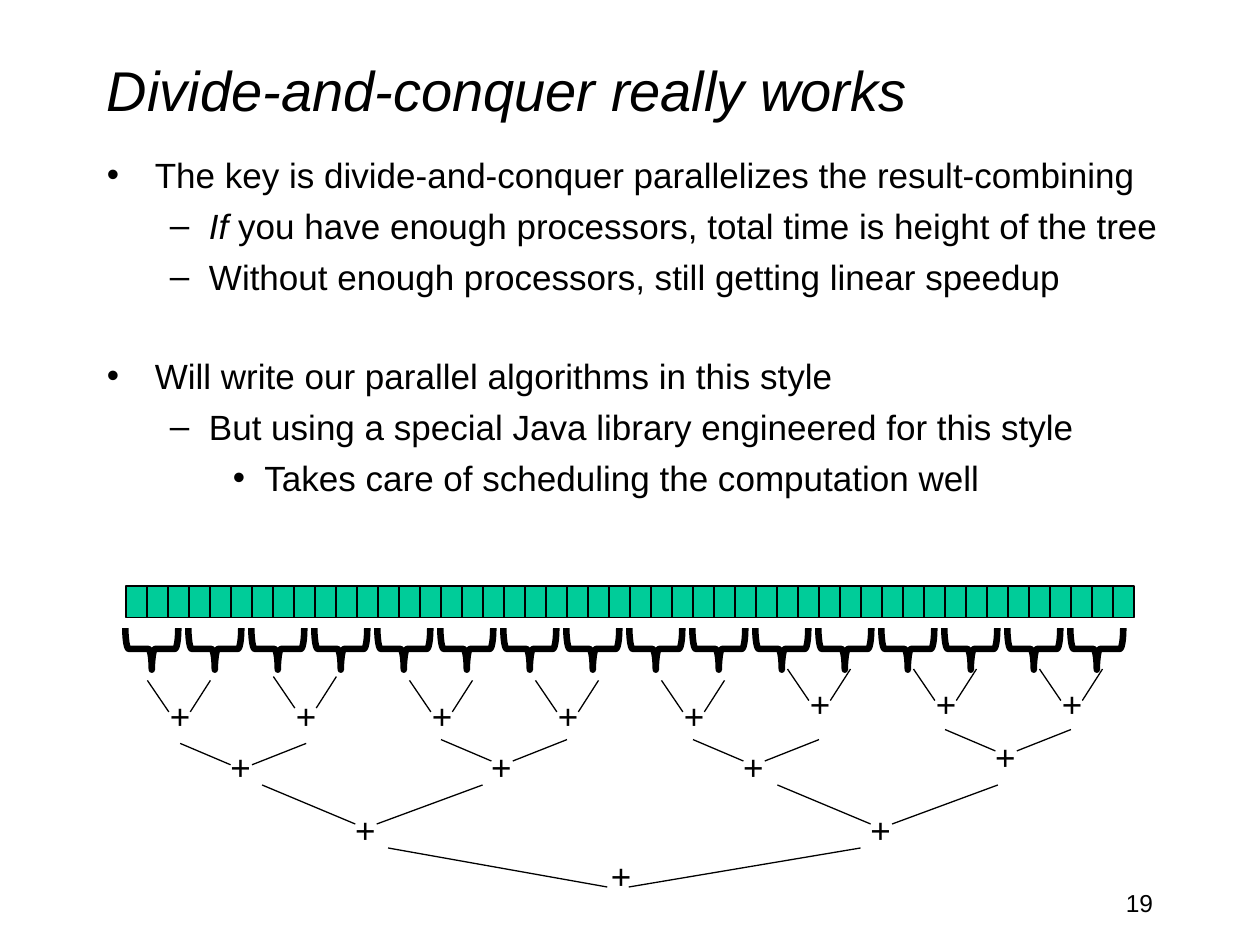
from dataclasses import dataclass

from lxml import etree
from pptx import Presentation
from pptx.dml.color import RGBColor
from pptx.enum import shapes, text
from pptx.oxml import ns
from pptx.util import Inches, Pt

COLORS = {"ink": "000000", "cell": "00CC99"}
FONT = "Arial"
CELLS, CELL_W = 48, 1 / 6
BRACES, BRACE_STEP = 16, 0.5


@dataclass
class Bullet:
    runs: list  # (text, italic)
    level: int = 0
    before: float = 5


@dataclass
class Level:
    span: float  # distance between the two branch tops
    tip: float   # left branch top to left branch end
    sign: float  # left branch top to the plus box
    drop: float  # height of a branch
    nodes: list  # (left, branch top, plus box top)


# Marker, text indent and hanging indent for each list level
BULLET_STYLES = [("•", 0.38, 0.38), ("–", 0.81, 0.31), ("•", 1.25, 0.25)]

BULLETS = [
    Bullet([("The key is divide-and-conquer parallelizes the result-combining", False)]),
    Bullet([("If", True),
            (" you have enough processors, total time is height of the tree", False)], 1),
    Bullet([("Without enough processors, still getting linear speedup", False)], 1),
    Bullet([("Will write our parallel algorithms in this style", False)], 0, 33),
    Bullet([("But using a special Java library engineered for this style", False)], 1),
    Bullet([("Takes care of scheduling the computation well", False)], 2),
]

LEVELS = [
    Level(0.5, 0.17, 0.08, 0.25,
          [(1.17, 5.4, 5.46), (2.17, 5.37, 5.46)]
          + [(3.25 + i, 5.4, 5.46) for i in range(3)]
          + [(6.25 + i, 5.31, 5.37) for i in range(3)]),
    Level(1, 0.4, 0.3, 0.17,
          [(1.43, 5.9, 5.87), (3.5, 5.87, 5.87), (5.5, 5.87, 5.87), (7.5, 5.79, 5.79)]),
    Level(1.75, 0.74, 0.64, 0.31, [(2.08, 6.23, 6.37), (6.17, 6.23, 6.37)]),
    Level(3.75, 1.74, 1.67, 0.31, [(3.08, 6.73, 6.73)]),
]
TIP_GAP = 0.17


def rgb(name: str) -> RGBColor:
    return RGBColor.from_string(COLORS[name])


def add_run(p, content: str, size: float, italic: bool = False) -> None:
    r = p.add_run()
    r.text = content
    r.font.color.rgb = rgb("ink")
    for name, value in {"name": FONT, "size": Pt(size), "italic": italic}.items():
        setattr(r.font, name, value)


def add_box(s, x: float, y: float, w: float, h: float, **frame):
    tf = s.shapes.add_textbox(Inches(x), Inches(y), Inches(w), Inches(h)).text_frame
    for name, value in {"word_wrap": True, **frame}.items():
        setattr(tf, name, value)
    return tf


def add_bullet(p, item: Bullet) -> None:
    marker, left, hang = BULLET_STYLES[item.level]
    p.level = item.level
    p.space_before = Pt(item.before)
    pPr = p._p.get_or_add_pPr()
    pPr.set("marL", str(Inches(left)))
    pPr.set("indent", str(-Inches(hang)))
    etree.SubElement(pPr, ns.qn("a:buFont")).set("typeface", FONT)
    etree.SubElement(pPr, ns.qn("a:buChar")).set("char", marker)
    for content, italic in item.runs:
        add_run(p, content, 20, italic)


def add_preset(s, kind, x: float, y: float, w: float, h: float, line: float):
    sp = s.shapes.add_shape(kind, Inches(x), Inches(y), Inches(w), Inches(h))
    sp.shadow.inherit = False
    sp.line.color.rgb = rgb("ink")
    sp.line.width = Pt(line)
    return sp


def add_branch(s, x1: float, y1: float, x2: float, y2: float) -> None:
    line = s.shapes.add_connector(shapes.MSO_CONNECTOR.STRAIGHT,
                                  Inches(x1), Inches(y1), Inches(x2), Inches(y2))
    line.line.color.rgb = rgb("ink")
    line.line.width = Pt(0.75)
    etree.SubElement(line._element.spPr, ns.qn("a:effectLst"))


def add_node(s, level: Level, left: float, top: float, sign_top: float) -> None:
    tip, bottom = left + level.tip, top + level.drop
    add_branch(s, left, top, tip, bottom)
    add_branch(s, left + level.span, top, tip + TIP_GAP, bottom)
    tf = add_box(s, left + level.sign, sign_top, 0.36, 0.44, word_wrap=False,
                 auto_size=text.MSO_AUTO_SIZE.SHAPE_TO_FIT_TEXT)
    add_run(tf.paragraphs[0], "+", 20)


prs = Presentation()
prs.slide_width, prs.slide_height = Inches(10), Inches(7.5)
s = prs.slides.add_slide(prs.slide_layouts[6])

# Title
tf = add_box(s, 0.75, 0.08, 8.5, 1.25, vertical_anchor=text.MSO_ANCHOR.MIDDLE)
add_run(tf.paragraphs[0], "Divide-and-conquer really works", 32, True)

# Bullet list
tf = add_box(s, 0.75, 1.17, 8.92, 3.33)
for i, item in enumerate(BULLETS):
    add_bullet(tf.add_paragraph() if i else tf.paragraphs[0], item)

# Slide number
tf = add_box(s, 7.17, 7, 2.08, 0.5)
tf.paragraphs[0].alignment = text.PP_ALIGN.RIGHT
add_run(tf.paragraphs[0], "19", 14)

# Array cells
for i in range(CELLS):
    sp = add_preset(s, shapes.MSO_SHAPE.RECTANGLE, 1 + i * CELL_W, 4.65, CELL_W, 0.25, 0.75)
    sp.fill.solid()
    sp.fill.fore_color.rgb = rgb("cell")

# Braces under each group of cells
for i in range(BRACES):
    sp = add_preset(s, shapes.MSO_SHAPE.LEFT_BRACE,
                    1.04 + i * BRACE_STEP, 4.94, 0.33, 0.42, 3.75)
    sp.fill.background()
    sp.rotation = 270

# Tree of sums
for level in LEVELS:
    for node in level.nodes:
        add_node(s, level, *node)

prs.save("out.pptx")
